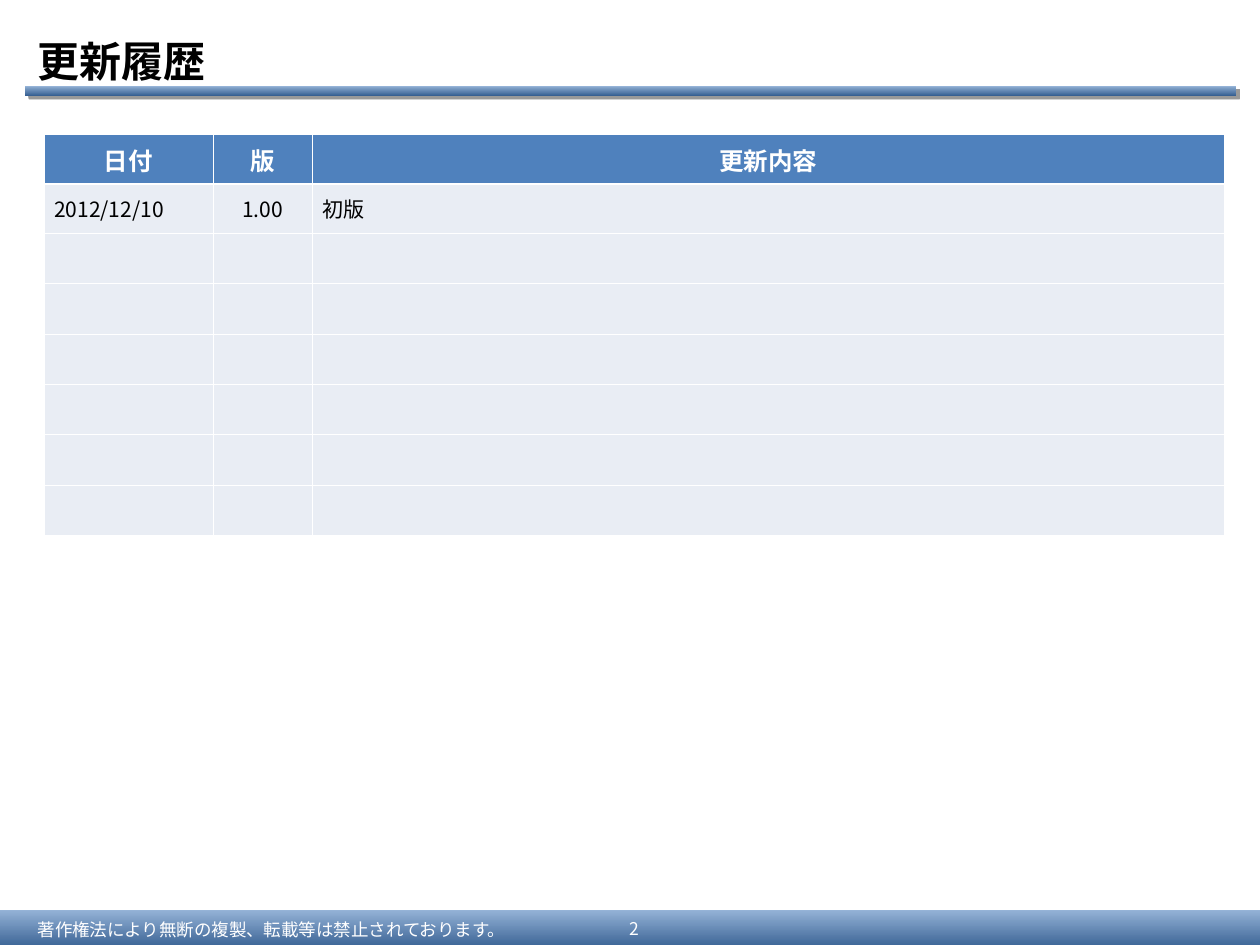
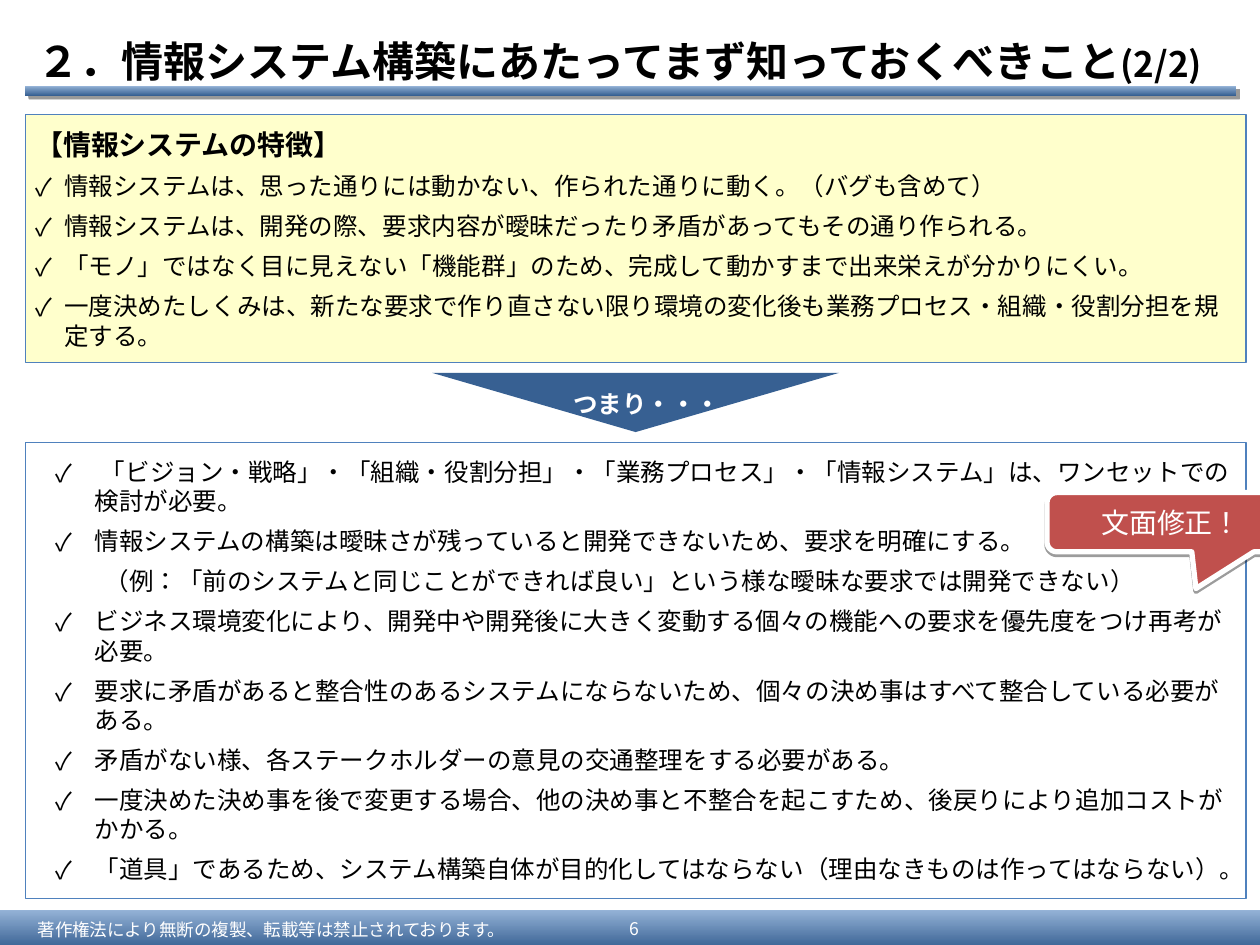
from typing import NamedTuple

from lxml import etree
from pptx import Presentation
from pptx.dml.color import RGBColor
from pptx.enum.shapes import MSO_SHAPE
from pptx.enum.text import MSO_ANCHOR, PP_ALIGN
from pptx.oxml.ns import qn
from pptx.util import Inches, Pt

RECT = MSO_SHAPE.RECTANGLE
WEDGE = MSO_SHAPE.ISOSCELES_TRIANGLE
BUBBLE = MSO_SHAPE.ROUNDED_RECTANGULAR_CALLOUT
TOP, MIDDLE = MSO_ANCHOR.TOP, MSO_ANCHOR.MIDDLE
LEFT, CENTER = PP_ALIGN.LEFT, PP_ALIGN.CENTER

COLORS = {
    "black": "000000", "white": "FFFFFF", "navy": "376092", "sky": "95B3D7",
    "blue": "4F81BD", "pale": "E9EDF4", "cream": "FFFFCC", "red": "C0504D",
}
FONT = "Noto Sans CJK JP"
ACCENT = "Montserrat"
NOTICE = "著作権法により無断の複製、転載等は禁止されております。"


class Box(NamedTuple):
    left: float
    top: float
    width: float
    height: float


class Item(NamedTuple):
    text: str
    bullet: bool = True


BAND = Box(0, 7.22, 10, 0.31)
RULE = Box(0.2, 0.68, 9.61, 0.08)
TITLE = Box(0.2, 0.21, 9.8, 0.54)

# Revision table
WIDTHS = [1.34, 0.79, 7.24]
HEADS = ["日付", "版", "更新内容"]
FIRST = ["2012/12/10", "1.00", "初版"]
ROWS, ROW_H = 8, 0.39

# Text of the two panels
TRAITS = [
    Item("情報システムは、思った通りには動かない、作られた通りに動く。（バグも含めて）"),
    Item("情報システムは、開発の際、要求内容が曖昧だったり矛盾があってもその通り作られる。"),
    Item("「モノ」ではなく目に見えない「機能群」のため、完成して動かすまで出来栄えが分かりにくい。"),
    Item("一度決めたしくみは、新たな要求で作り直さない限り環境の変化後も業務プロセス・組織・役割分担を規定する。"),
]
LESSONS = [
    Item(" 「ビジョン・戦略」・「組織・役割分担」・「業務プロセス」・「情報システム」は、ワンセットでの検討が必要。"),
    Item("情報システムの構築は曖昧さが残っていると開発できないため、要求を明確にする。"),
    Item("（例：「前のシステムと同じことができれば良い」という様な曖昧な要求では開発できない）", False),
    Item("ビジネス環境変化により、開発中や開発後に大きく変動する個々の機能への要求を優先度をつけ再考が必要。"),
    Item("要求に矛盾があると整合性のあるシステムにならないため、個々の決め事はすべて整合している必要がある。"),
    Item("矛盾がない様、各ステークホルダーの意見の交通整理をする必要がある。"),
    Item("一度決めた決め事を後で変更する場合、他の決め事と不整合を起こすため、後戻りにより追加コストがかかる。"),
    Item("「道具」であるため、システム構築自体が目的化してはならない（理由なきものは作ってはならない）。"),
]


def rgb(name: str) -> RGBColor:
    return RGBColor.from_string(COLORS[name])


def place(box: Box) -> list:
    return [Inches(size) for size in box]


def write(para, text: str, *, size=14, color="black", bold=False, align=LEFT,
          font=FONT, asian=FONT, before=0, indent=None, bullet=False) -> None:
    """Add one run to a paragraph and format both."""
    para.alignment = align
    para.space_before = Pt(before)
    props = para._p.get_or_add_pPr()
    if indent:
        props.set("marL", str(Inches(indent[0])))
        props.set("indent", str(Inches(indent[1])))
    if bullet:
        etree.SubElement(props, qn("a:buFont"), typeface=FONT)
        etree.SubElement(props, qn("a:buChar"), char="✓")
    run = para.add_run()
    run.text = text
    run.font.size, run.font.bold, run.font.name = Pt(size), bold, font
    run.font.color.rgb = rgb(color)
    marks = run._r.get_or_add_rPr()
    marks.set("lang", "ja-JP")
    etree.SubElement(marks, qn("a:ea"), typeface=asian)


def setup(frame, *, anchor=MIDDLE, wrap=True, side=0.1, edge=0.05) -> None:
    frame.word_wrap, frame.vertical_anchor = wrap, anchor
    frame.margin_left = frame.margin_right = Inches(side)
    frame.margin_top = frame.margin_bottom = Inches(edge)


def label(slide, box: Box, *, anchor=MIDDLE, wrap=True, edge=0.05):
    frame = slide.shapes.add_textbox(*place(box)).text_frame
    setup(frame, anchor=anchor, wrap=wrap, edge=edge)
    return frame.paragraphs[0]


def draw(slide, kind, box: Box, fill=None, line=None, weight=0.75):
    """Add a preset shape; without a fill it gets the shared gradient."""
    shape = slide.shapes.add_shape(kind, *place(box))
    shape.shadow.inherit = False
    if fill:
        shape.fill.solid()
        shape.fill.fore_color.rgb = rgb(fill)
    else:
        shape.fill.gradient()
        shape.fill.gradient_angle = 90
        for stop, name, spot in zip(shape.fill.gradient_stops, ("navy", "sky"), (0, 1)):
            stop.color.rgb, stop.position = rgb(name), spot
    if line:
        shape.line.color.rgb, shape.line.width = rgb(line), Pt(weight)
    else:
        shape.line.fill.background()
    return shape


def shade(shape, dist: float, angle: int, alpha: int) -> None:
    effects = shape._element.spPr.find(qn("a:effectLst"))
    cast = etree.SubElement(effects, qn("a:outerShdw"), blurRad="0", dist=str(Pt(dist)),
                            dir=str(angle * 60000), algn="ctr", rotWithShape="0")
    tint = etree.SubElement(cast, qn("a:srgbClr"), val=COLORS["black"])
    etree.SubElement(tint, qn("a:alpha"), val=str(alpha * 1000))


def start(deck, number: int, title: str, part: str = ""):
    """Make a slide with the shared band, rule, footer and title."""
    slide = deck.slides.add_slide(deck.slide_layouts[6])
    draw(slide, RECT, BAND)
    shade(draw(slide, RECT, RULE), 3, 45, 40)
    write(label(slide, Box(0.2, 7.25, 4.25, 0.25), edge=0.04), NOTICE,
          size=10, color="white")
    write(label(slide, Box(4.76, 7.23, 0.55, 0.28), edge=0.04), str(number),
          size=10, color="white", align=CENTER)
    para = label(slide, TITLE)
    write(para, title, size=24, bold=True)
    if part:
        write(para, part, size=20, bold=True)
    return slide


def fence(cell, **widths: float) -> None:
    """Draw white borders of the given widths, below any fill."""
    props = cell._tc.get_or_add_tcPr()
    for spot, side in enumerate("LRTB"):
        edge = etree.Element(qn(f"a:ln{side}"), w=str(Pt(widths.get(side, 0.45))))
        fill = etree.SubElement(edge, qn("a:solidFill"))
        etree.SubElement(fill, qn("a:srgbClr"), val=COLORS["white"])
        props.insert(spot, edge)


def history(slide) -> None:
    box = Box(0.35, 1.07, sum(WIDTHS), ROWS * ROW_H)
    table = slide.shapes.add_table(ROWS, len(WIDTHS), *place(box)).table
    table.horz_banding = False
    for col, width in zip(table.columns, WIDTHS):
        col.width = Inches(width)
    for r, row in enumerate(table.rows):
        row.height = Inches(ROW_H)
        for c, cell in enumerate(row.cells):
            cell.fill.solid()
            cell.fill.fore_color.rgb = rgb("pale" if r else "blue")
            fence(cell, **({"B": 1.47} if r == 0 else {"T": 1.47} if r == 1 else {}))
            cell.vertical_anchor = MIDDLE
            cell.margin_left = cell.margin_right = Inches(0.08 if r else 0.1)
            para = cell.text_frame.paragraphs[0]
            if r == 0:
                write(para, HEADS[c], color="white", bold=True, align=CENTER)
            elif r == 1:
                write(para, FIRST[c], size=12, align=CENTER if c == 1 else LEFT)


def panel(slide, box: Box, fill: str, items: list[Item], indent: tuple, head: str = "") -> None:
    frame = draw(slide, RECT, box, fill, "blue").text_frame
    setup(frame, side=0.08, edge=0)
    para = frame.paragraphs[0]
    if head:
        write(para, head, size=16, bold=True, asian=ACCENT)
    for i, item in enumerate(items):
        if i or head:
            para = frame.add_paragraph()
        write(para, item.text, before=6, bullet=item.bullet, asian=ACCENT,
              indent=indent if item.bullet else (indent[0], 0.08))


def main() -> None:
    deck = Presentation()
    deck.slide_width, deck.slide_height = Inches(10), Inches(7.5)

    # Revision history
    history(start(deck, 2, "更新履歴"))

    # Traits of information systems and what follows from them
    slide = start(deck, 6, "２．情報システム構築にあたってまず知っておくべきこと", "(2/2)")
    panel(slide, Box(0.2, 0.91, 9.69, 1.97), "cream", TRAITS, (0.23, -0.23),
          "【情報システムの特徴】")
    panel(slide, Box(0.2, 3.51, 9.69, 3.62), "white", LESSONS, (0.47, -0.31))

    # Downward wedge between the panels
    wedge = draw(slide, WEDGE, Box(3.43, 2.96, 3.23, 0.47), "navy")
    wedge._element.spPr.find(qn("a:xfrm")).set("flipV", "1")
    write(label(slide, Box(4.45, 3.04, 1.37, 0.34), anchor=TOP, wrap=False),
          "つまり・・・", color="white", bold=True)

    # Review callout
    note = draw(slide, BUBBLE, Box(8.31, 3.91, 1.97, 0.47), "red", "white", 3)
    for i, value in enumerate((0.105, 1.117, 0.167)):
        note.adjustments[i] = round(value, 2)
    shade(note, 1.6, 90, 38)
    setup(note.text_frame, wrap=False, side=0.08, edge=0)
    write(note.text_frame.paragraphs[0], "文面修正！", size=16, color="white",
          align=CENTER, font=ACCENT, asian=ACCENT, before=10)

    deck.save("out.pptx")


if __name__ == "__main__":
    main()
